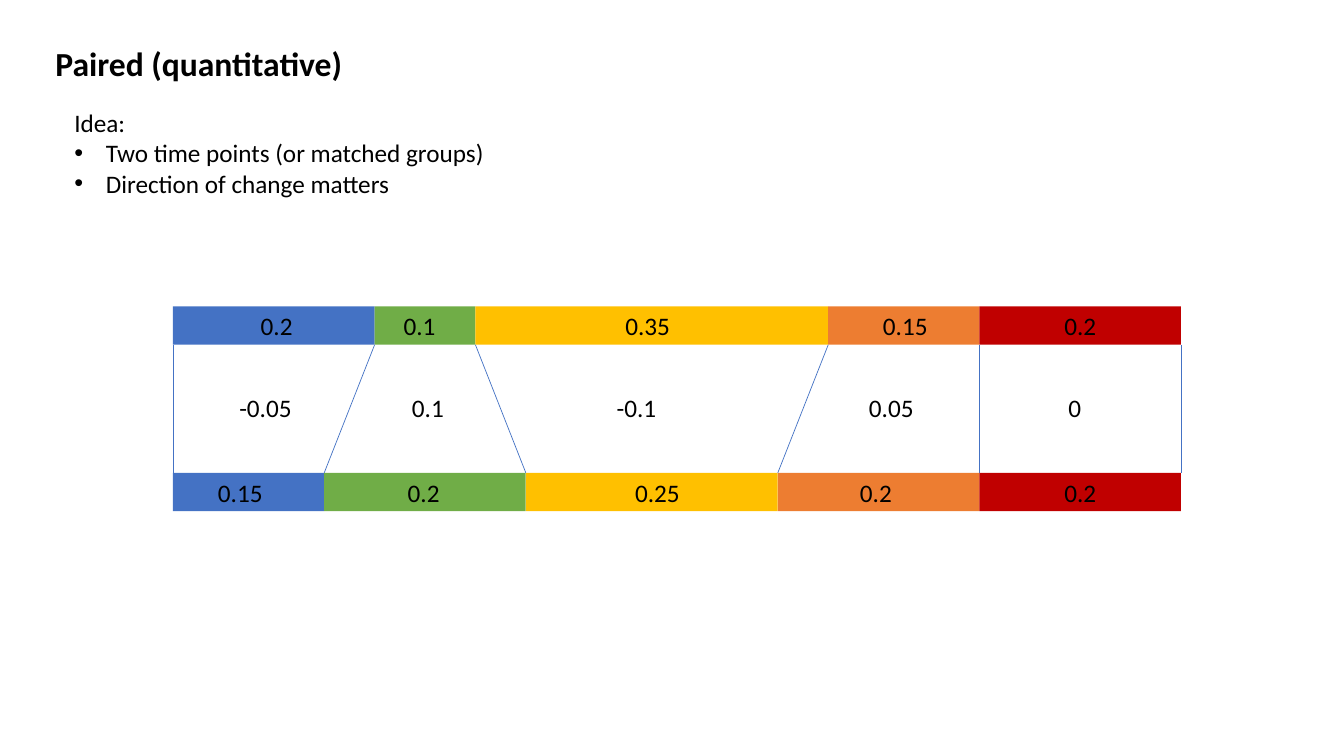
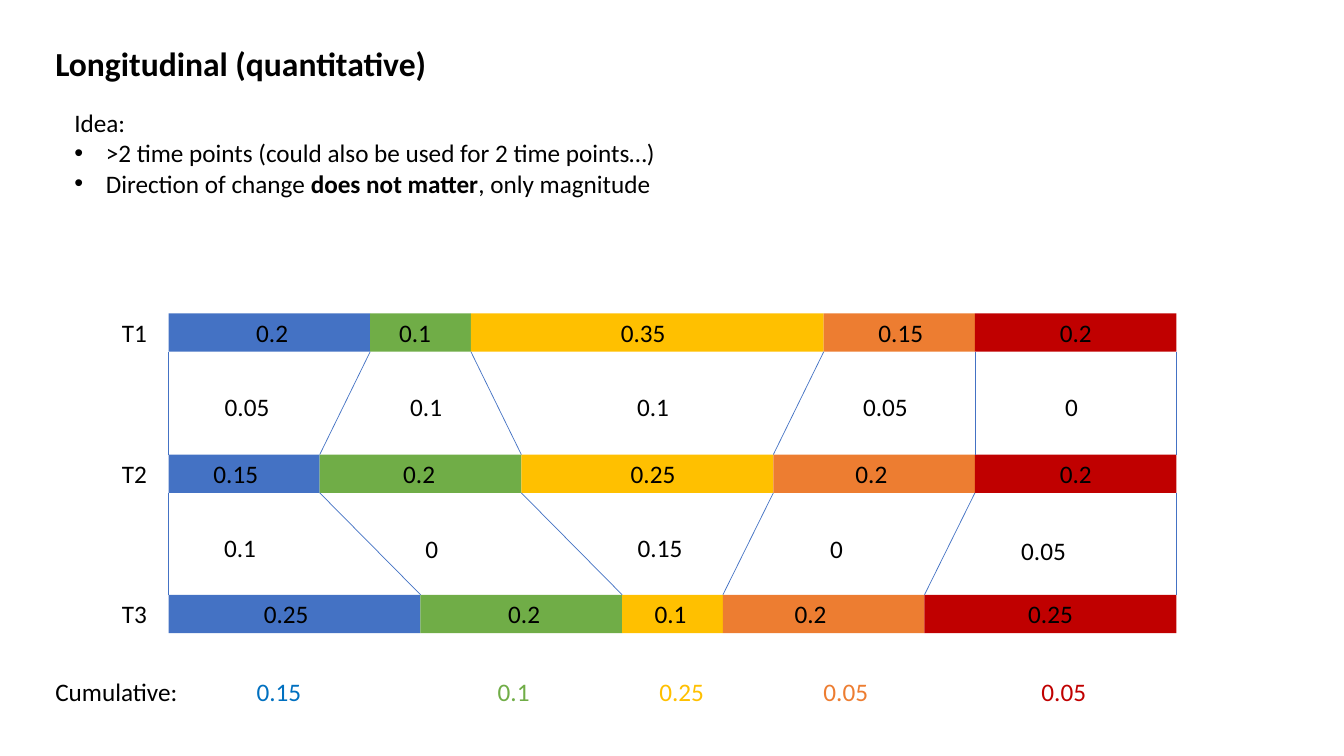
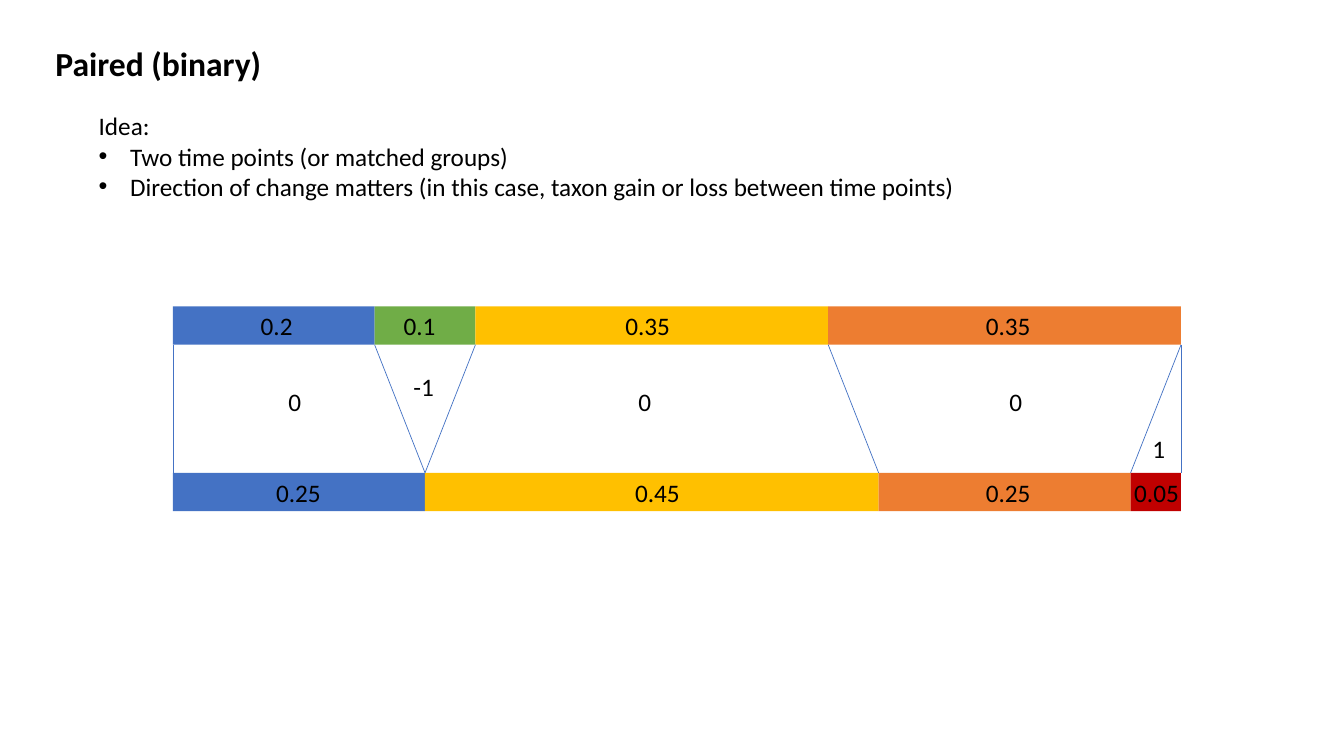
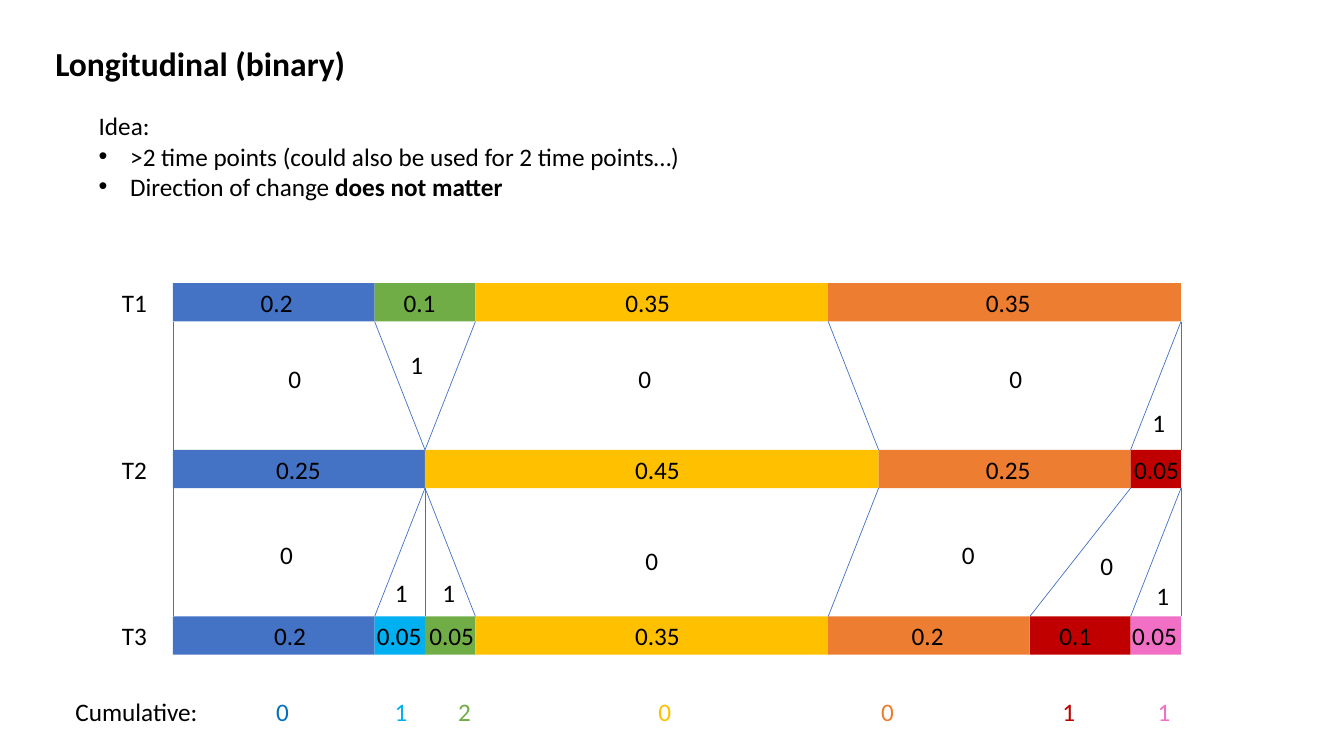
"""Build four slides that compare paired and longitudinal changes in stacked bars."""
from itertools import accumulate

from lxml.etree import SubElement
from pptx import Presentation
from pptx.dml.color import RGBColor
from pptx.enum.shapes import MSO_CONNECTOR, MSO_SHAPE
from pptx.enum.text import MSO_ANCHOR, PP_ALIGN
from pptx.oxml.ns import qn
from pptx.util import Pt

HUES = {
    "ink": "000000", "blue": "4472C4", "deep": "0070C0", "cyan": "00B0F0",
    "green": "70AD47", "gold": "FFC000", "orange": "ED7D31", "red": "C00000",
    "pink": "F170C6",
}
FONT = "Calibri"
UNIT = 7.2
THICK = 27.36
LINE = 28.8
BASIC = ["blue", "green", "gold", "orange", "red"]
FULL = ["blue", "cyan", "green", "gold", "orange", "red", "pink"]
PAIR = "Two time points (or matched groups)"
MANY = ">2 time points (could also be used for 2 time points…)"

# Shares are in percent; label and change positions are offsets from the left bar edge.
SLIDES = [
    {
        "title": "Paired (quantitative)", "left": 123.6, "idea": (46, 72.7),
        "points": [[PAIR], ["Direction of change matters"]],
        "hues": BASIC,
        "rows": [
            (232.6, [20, 10, 35, 15, 20], [74, 176, 339, 523, 648]),
            (351.4, [15, 20, 25, 20, 20], [48, 179, 346, 502, 648]),
        ],
        "changes": [("-0.05", 66, 291), ("0.1", 182, 291), ("-0.1", 331, 291),
                    ("0.05", 513, 291), ("0", 644, 291)],
    },
    {
        "title": "Longitudinal (quantitative)", "left": 120.4, "idea": (46, 72.7),
        "points": [[MANY], ["Direction of change ", "does not matter", ", only magnitude"]],
        "hues": BASIC,
        "rows": [
            (237.6, [20, 10, 35, 15, 20], [74, 176, 339, 523, 648]),
            (338.4, [15, 20, 25, 20, 20], [48, 179, 346, 502, 648]),
            (438.5, [25, 20, 10, 20, 25], [84, 254, 358.5, 458.5, 630]),
        ],
        "changes": [("0.05", 56, 290), ("0.1", 184, 290), ("0.1", 346, 290),
                    ("0.05", 512, 290), ("0", 645, 290),
                    ("0.1", 51, 391), ("0", 188, 392), ("0.15", 351, 391),
                    ("0", 477, 392), ("0.05", 625, 393)],
        "total": (32.4, 494, ["0.15", "0.1", "0.25", "0.05", "0.05"],
                  [199.3, 367, 487, 604.3, 760]),
    },
    {
        "title": "Paired (binary)", "left": 123.6, "idea": (63.4, 75),
        "points": [[PAIR], ["Direction of change matters (in this case, "
                            "taxon gain or loss between time points)"]],
        "hues": BASIC,
        "rows": [
            (232.6, [20, 10, 35, 35, 0], [74, 176, 339, 596.5]),
            (351.4, [25, 0, 45, 25, 5], [89.5, 346, 596.5, 702.5]),
        ],
        "changes": [("0", 87, 287), ("-1", 179, 276), ("0", 337, 287),
                    ("0", 602, 287), ("1", 704, 320)],
    },
    {
        "title": "Longitudinal (binary)", "left": 123.6, "idea": (63.4, 75),
        "points": [[MANY], ["Direction of change ", "does not matter"]],
        "hues": FULL,
        "rows": [
            (216, [20, 0, 10, 35, 35, 0, 0], [74, 176, 339, 596.5]),
            (335, [25, 0, 0, 45, 25, 5, 0], [89.5, 346, 596.5, 702.5]),
            (454, [20, 5, 5, 35, 20, 10, 5], [83.5, 161.5, 199, 346, 539, 644.5, 701]),
        ],
        "changes": [("0", 87, 270), ("1", 174, 260), ("0", 337, 270),
                    ("0", 602, 270), ("1", 704, 302),
                    ("0", 81, 396), ("1", 163, 423), ("1", 197, 423),
                    ("0", 342, 400), ("0", 568, 396), ("0", 667, 404), ("1", 707, 425)],
        "total": (46.8, 508, ["0", "1", "2", "0", "0", "1", "1"],
                  [202, 286.5, 332, 475, 634, 763.5, 831.5]),
    },
]


def frame(slide, left, mid, width, height=LINE, align=PP_ALIGN.LEFT):
    box = slide.shapes.add_textbox(Pt(left), Pt(mid - height / 2), Pt(width), Pt(height))
    body = box.text_frame
    body.word_wrap = True
    body.vertical_anchor = MSO_ANCHOR.MIDDLE
    body.paragraphs[0].alignment = align
    return body


def say(para, text, hue="ink", size=18, bold=False):
    run = para.add_run()
    run.text = text
    run.font.name = FONT
    run.font.size = Pt(size)
    run.font.bold = bold
    run.font.color.rgb = RGBColor.from_string(HUES[hue])


deck = Presentation()
deck.slide_width, deck.slide_height = Pt(960), Pt(540)

for plan in SLIDES:
    slide = deck.slides.add_slide(deck.slide_layouts[6])
    left, rows = plan["left"], plan["rows"]

    say(frame(slide, 32.4, 44.8, 600, 36).paragraphs[0], plan["title"], size=24, bold=True)

    side, top = plan["idea"]
    body = frame(slide, side, top + 36.4, 780, 72.8)
    say(body.paragraphs[0], "Idea:")
    for point in plan["points"]:
        para = body.add_paragraph()
        props = para._p.get_or_add_pPr()
        props.set("marL", str(Pt(22.5)))
        props.set("indent", str(-Pt(22.5)))
        SubElement(props, qn("a:buFont")).set("typeface", "Arial")
        SubElement(props, qn("a:buChar")).set("char", "•")
        for spot, part in enumerate(point):
            say(para, part, bold=spot % 2 == 1)

    labels = list(plan["changes"])
    edges = []
    for mid, shares, spots in rows:
        ends = list(accumulate(shares, initial=0))
        edges.append(ends)
        for hue, share, start in zip(plan["hues"], shares, ends):
            if share:
                bar = slide.shapes.add_shape(
                    MSO_SHAPE.RECTANGLE, Pt(left + start * UNIT), Pt(mid - THICK / 2),
                    Pt(share * UNIT), Pt(THICK))
                bar.shadow.inherit = False
                bar.fill.solid()
                bar.fill.fore_color.rgb = RGBColor.from_string(HUES[hue])
                bar.line.fill.background()
        shown = [share for share in shares if share]
        labels += [(f"{share / 100:g}", spot, mid) for share, spot in zip(shown, spots)]

    for step in range(len(rows) - 1):
        high, low = rows[step][0] + THICK / 2, rows[step + 1][0] - THICK / 2
        for start, end in dict.fromkeys(zip(edges[step], edges[step + 1])):
            link = slide.shapes.add_connector(
                MSO_CONNECTOR.STRAIGHT, Pt(left + start * UNIT), Pt(high),
                Pt(left + end * UNIT), Pt(low))
            link.line.width = Pt(0.5)
            link.line.color.rgb = RGBColor.from_string(HUES["blue"])
            SubElement(link.element.spPr, qn("a:effectLst"))

    if "total" in plan:
        labels += [(f"T{rank}", 96 - left, row[0]) for rank, row in enumerate(rows, 1)]
        side, mid, sums, stops = plan["total"]
        para = frame(slide, side, mid, 860).paragraphs[0]
        tabs = SubElement(para._p.get_or_add_pPr(), qn("a:tabLst"))
        say(para, "Cumulative:")
        for text, stop, hue in zip(sums, stops, ["deep"] + plan["hues"][1:]):
            tab = SubElement(tabs, qn("a:tab"))
            tab.set("pos", str(Pt(stop - side - 7.2)))
            tab.set("algn", "ctr")
            say(para, "\t" + text, hue=hue)

    for text, spot, mid in labels:
        body = frame(slide, left + spot - 30, mid, 60, align=PP_ALIGN.CENTER)
        say(body.paragraphs[0], text)

deck.save("out.pptx")
